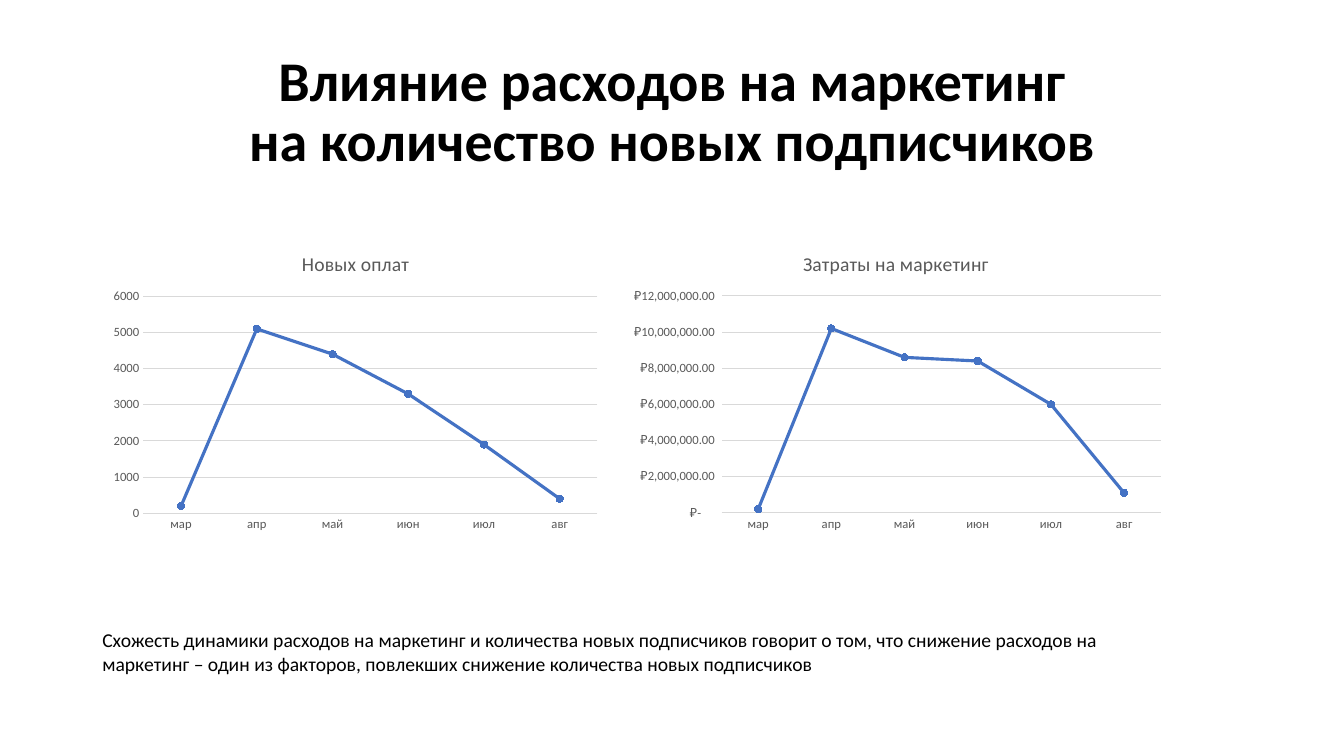
from dataclasses import dataclass

from pptx import Presentation
from pptx.chart.data import CategoryChartData
from pptx.dml.color import RGBColor
from pptx.enum.chart import XL_CHART_TYPE, XL_MARKER_STYLE, XL_TICK_MARK
from pptx.enum.text import MSO_ANCHOR, MSO_AUTO_SIZE, PP_ALIGN
from pptx.util import Pt


@dataclass(frozen=True)
class Theme:
    face: str = "Calibri"
    ink: str = "000000"
    gray: str = "595959"
    grid: str = "D9D9D9"
    blue: str = "4472C4"
    head: int = 40
    body: int = 14
    base: int = 10
    tick: int = 9
    thin: float = 0.75
    thick: float = 2.25
    dot: int = 5


def apply(item, form):
    for key, value in form.items():
        setattr(item, key, value)


class Deck:
    """Holds the theme and the current slide, and draws each kind of element."""

    def __init__(self, theme, width, height):
        self.theme = theme
        self.show = Presentation()
        apply(self.show, {"slide_width": Pt(width), "slide_height": Pt(height)})
        self.slide = self.show.slides.add_slide(self.show.slide_layouts[6])

    def font(self, font, size, color, bold=False):
        apply(font, {"name": self.theme.face, "size": Pt(size), "bold": bold})
        font.color.rgb = RGBColor.from_string(color)

    def line(self, line, color, width):
        line.color.rgb = RGBColor.from_string(color)
        line.width = Pt(width)

    def text(self, box, words, size, frame, para, bold=False):
        shape = self.slide.shapes.add_textbox(*map(Pt, box))
        apply(shape.text_frame, {"word_wrap": True, **frame})
        first = shape.text_frame.paragraphs[0]
        first.text = words
        apply(first, para)
        for run in first.runs:
            self.font(run.font, size, self.theme.ink, bold)

    def chart(self, box, name, months, values, limit, step, form):
        theme = self.theme
        data = CategoryChartData(number_format=form)
        data.categories = months
        data.add_series(name, values)
        chart = self.slide.shapes.add_chart(
            XL_CHART_TYPE.LINE_MARKERS, *map(Pt, box), data).chart
        apply(chart, {"has_legend": False, "has_title": True})
        self.font(chart.font, theme.base, theme.ink)
        title = chart.chart_title.text_frame
        title.text = name
        self.font(title.paragraphs[0].runs[0].font, theme.body, theme.gray)

        for axis in (chart.category_axis, chart.value_axis):
            apply(axis, {"major_tick_mark": XL_TICK_MARK.NONE,
                         "minor_tick_mark": XL_TICK_MARK.NONE})
            self.font(axis.tick_labels.font, theme.tick, theme.gray)
        self.line(chart.category_axis.format.line, theme.grid, theme.thin)
        scale = chart.value_axis
        apply(scale, {"minimum_scale": 0, "maximum_scale": limit,
                      "major_unit": step, "has_major_gridlines": True})
        apply(scale.tick_labels, {"number_format": form,
                                  "number_format_is_linked": False})
        scale.format.line.fill.background()
        self.line(scale.major_gridlines.format.line, theme.grid, theme.thin)

        chart.plots[0].vary_by_categories = False
        series = chart.plots[0].series[0]
        series.smooth = False
        self.line(series.format.line, theme.blue, theme.thick)
        mark = series.marker
        apply(mark, {"style": XL_MARKER_STYLE.CIRCLE, "size": theme.dot})
        mark.format.fill.solid()
        mark.format.fill.fore_color.rgb = RGBColor.from_string(theme.blue)
        self.line(mark.format.line, theme.blue, theme.thin)


theme = Theme()
deck = Deck(theme, 960, 540)
deck.text((66, 28.75, 828, 104.4),
          "Влияние расходов на маркетинг\vна количество новых подписчиков",
          theme.head, {"vertical_anchor": MSO_ANCHOR.MIDDLE},
          {"alignment": PP_ALIGN.CENTER, "line_spacing": 0.9}, bold=True)
deck.text((66, 445, 786, 41),
          "Схожесть динамики расходов на маркетинг и количества новых "
          "подписчиков говорит о том, что снижение расходов на маркетинг – "
          "один из факторов, повлекших снижение количества новых подписчиков",
          theme.body, {"auto_size": MSO_AUTO_SIZE.SHAPE_TO_FIT_TEXT}, {})

months = ["мар", "апр", "май", "июн", "июл", "авг"]
rubles = r'_("₽"* #,##0.00_);_("₽"* \(#,##0.00\);_("₽"* "-"??_);_(@_)'
charts = [
    ((74, 168.3, 360, 216), "Новых оплат",
     [200, 5100, 4400, 3300, 1900, 400], 6000, 1000, "General"),
    ((443, 168, 394, 216), "Затраты на маркетинг",
     [200000, 10200000, 8600000, 8400000, 6000000, 1100000],
     12000000, 2000000, rubles),
]
for box, name, values, limit, step, form in charts:
    deck.chart(box, name, months, values, limit, step, form)

deck.show.save("out.pptx")
